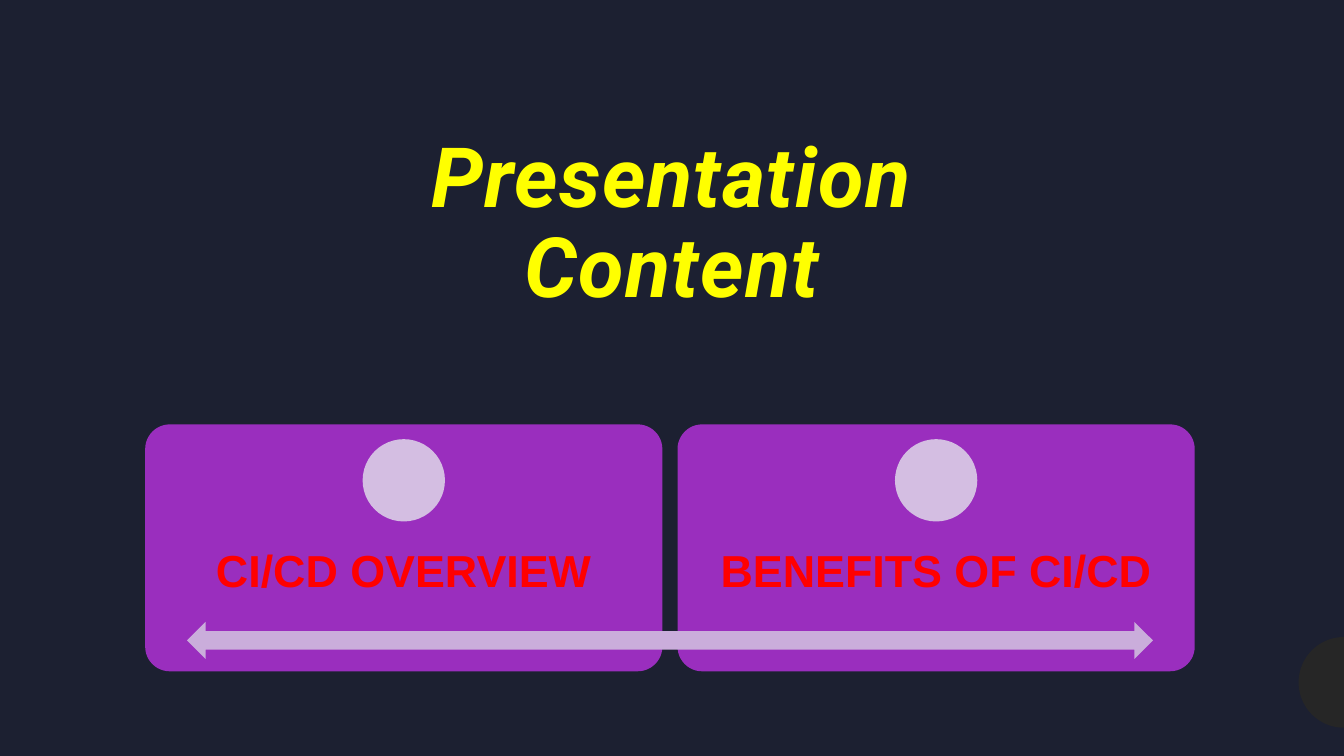
import math

import pptx
import pptx.dml.color
import pptx.enum.shapes
import pptx.enum.text
import pptx.util

SHAPE = pptx.enum.shapes.MSO_SHAPE
ANCHOR = pptx.enum.text.MSO_ANCHOR
INCH = pptx.util.Inches

SLIDE_W, SLIDE_H = 13.33, 7.5
CARD_LEFT, CARD_TOP, CARD_W, CARD_H = 1.44, 4.21, 5.13, 2.45
CARD_PITCH = 5.28
DOT = CARD_H / 3
TOPICS = ["CI/CD OVERVIEW", "BENEFITS OF CI/CD"]


def rgb(value):
    return pptx.dml.color.RGBColor.from_string(value)


def paint(sp, color):
    """Give a shape a flat fill without line or shadow."""
    sp.fill.solid()
    sp.fill.fore_color.rgb = rgb(color)
    sp.line.fill.background()
    sp.shadow.inherit = False


def add_shape(slide, kind, box, color):
    sp = slide.shapes.add_shape(kind, *map(INCH, box))
    paint(sp, color)
    return sp


def add_text(slide, text, box, *, size, font, color, italic=False,
             spacing=0, inset=(0.1, 0.05), anchor=ANCHOR.TOP):
    """Add bold centred text; spacing is in hundredths of a point."""
    tf = slide.shapes.add_textbox(*map(INCH, box)).text_frame
    tf.word_wrap = True
    tf.vertical_anchor = anchor
    tf.margin_left = tf.margin_right = INCH(inset[0])
    tf.margin_top = tf.margin_bottom = INCH(inset[1])
    p = tf.paragraphs[0]
    p.alignment = pptx.enum.text.PP_ALIGN.CENTER
    p.line_spacing = 0.9
    r = p.add_run()
    r.text = text
    r.font.size = pptx.util.Pt(size)
    r.font.name = font
    r.font.bold = True
    r.font.italic = italic
    r.font.color.rgb = rgb(color)
    if spacing:
        r.font._element.set("spc", str(spacing))


def add_edge_half_circle(slide, center_y, radius, color, steps=48):
    """Draw the left half of a circle centred on the right slide edge."""
    angles = [math.pi * i / steps for i in range(steps + 1)]
    points = [(INCH(SLIDE_W - radius * math.sin(a)),
               INCH(center_y - radius * math.cos(a))) for a in angles]
    builder = slide.shapes.build_freeform(*points[0])
    builder.add_line_segments(points[1:], close=True)
    paint(builder.convert_to_shape(), color)


def add_card(slide, left, topic):
    card = add_shape(slide, SHAPE.ROUNDED_RECTANGLE,
                     (left, CARD_TOP, CARD_W, CARD_H), "9A2EBE")
    card.adjustments[0] = 0.1
    add_text(slide, topic, (left, CARD_TOP + 0.4 * CARD_H, CARD_W, 0.4 * CARD_H),
             size=32, font="Arial", color="FF0000",
             inset=(0.25, 0.25), anchor=ANCHOR.MIDDLE)
    add_shape(slide, SHAPE.OVAL,
              (left + (CARD_W - DOT) / 2, CARD_TOP + 0.06 * CARD_H, DOT, DOT),
              "D4BEE2")


def main():
    prs = pptx.Presentation()
    prs.slide_width, prs.slide_height = INCH(SLIDE_W), INCH(SLIDE_H)
    slide = prs.slides.add_slide(prs.slide_layouts[6])
    slide.background.fill.solid()
    slide.background.fill.fore_color.rgb = rgb("1C2031")

    add_edge_half_circle(slide, 6.77, 0.45, "262626")
    for i, topic in enumerate(TOPICS):
        add_card(slide, CARD_LEFT + i * CARD_PITCH, topic)
    arrow_w = 9.58
    arrow_left = CARD_LEFT + (CARD_PITCH + CARD_W - arrow_w) / 2
    add_shape(slide, SHAPE.LEFT_RIGHT_ARROW,
              (arrow_left, CARD_TOP + 0.8 * CARD_H, arrow_w, 0.15 * CARD_H), "CAADDB")
    add_text(slide, "Presentation Content", (2.86, 1.3, 7.61, 1.4),
             size=59.4, font="Roboto", color="FFFF00", italic=True, spacing=100)

    prs.save("out.pptx")


if __name__ == "__main__":
    main()
